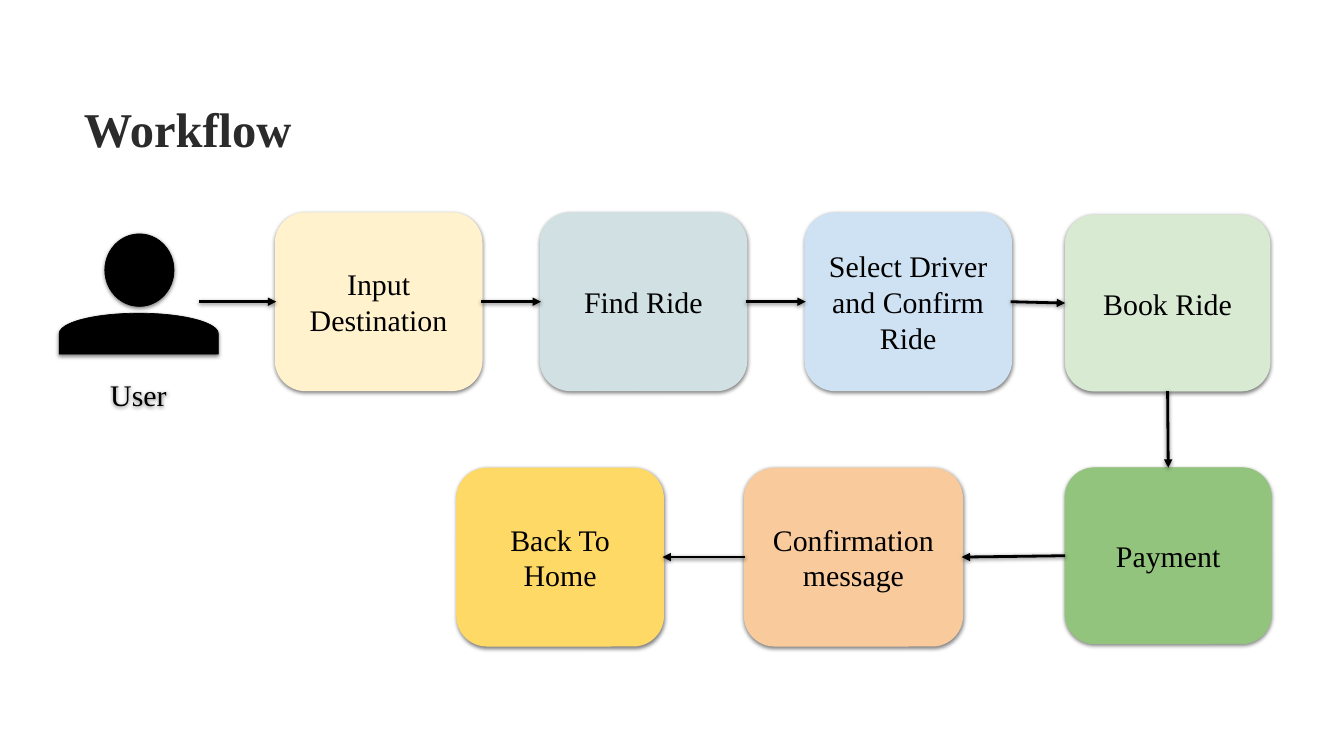
from lxml import etree
from pptx import Presentation
from pptx.dml.color import RGBColor
from pptx.enum.shapes import MSO_CONNECTOR, MSO_SHAPE
from pptx.enum.text import MSO_ANCHOR, MSO_AUTO_SIZE, PP_ALIGN
from pptx.oxml import parse_xml
from pptx.oxml.ns import nsdecls, qn
from pptx.util import Pt

PX = 9144  # 100 px to the inch
COLORS = {
    "ink": "000000", "title": "2B2B2B", "cream": "FFF2CC", "teal": "D0E0E3",
    "blue": "CFE2F3", "mint": "D9EAD3", "green": "93C47D", "peach": "F9CB9C",
    "yellow": "FFD966",
}
SHADOW = (
    f'<a:effectLst {nsdecls("a")}><a:outerShdw blurRad="57150" dist="19050" '
    'dir="5400000" algn="bl" rotWithShape="0"><a:srgbClr val="000000">'
    '<a:alpha val="50000"/></a:srgbClr></a:outerShdw></a:effectLst>'
)
TOP, LEFT, BOTTOM, RIGHT = range(4)


def write(sp, text, size=32, color="ink", bold=False, align=PP_ALIGN.CENTER,
          anchor=MSO_ANCHOR.MIDDLE, inset=10, spacing=None):
    tf = sp.text_frame
    tf.word_wrap = True
    tf.vertical_anchor = anchor
    tf.margin_left = tf.margin_right = tf.margin_top = tf.margin_bottom = inset * PX
    tf.text = text
    for p in tf.paragraphs:
        p.alignment = align
        p.line_spacing = spacing
        p.font.name = "Times New Roman"
        p.font.size = Pt(size)
        p.font.bold = bold
        p.font.color.rgb = RGBColor.from_string(COLORS[color])


def paint(sp, color, width):
    rgb = RGBColor.from_string(COLORS[color])
    sp.fill.solid()
    sp.fill.fore_color.rgb = rgb
    sp.line.color.rgb = rgb
    sp.line.width = Pt(width)
    sp._element.spPr.append(parse_xml(SHADOW))


prs = Presentation()
prs.slide_width, prs.slide_height = 2000 * PX, 1125 * PX
s = prs.slides.add_slide(prs.slide_layouts[6])

# Title
title = s.shapes.add_textbox(125 * PX, 112 * PX, 1204 * PX, 88 * PX)
write(title, "Workflow", size=52, color="title", bold=True, align=PP_ALIGN.LEFT,
      anchor=MSO_ANCHOR.TOP, inset=0, spacing=1.4)
title.text_frame.auto_size = MSO_AUTO_SIZE.SHAPE_TO_FIT_TEXT

# User figure: head, shoulders, label
head = s.shapes.add_shape(MSO_SHAPE.FLOWCHART_CONNECTOR,
                          156 * PX, 348 * PX, 103 * PX, 108 * PX)
shoulders = s.shapes.add_shape(MSO_SHAPE.FLOWCHART_DELAY,
                               176 * PX, 378 * PX, 61 * PX, 237 * PX)
shoulders.rotation = 270
for sp in (head, shoulders):
    paint(sp, "ink", 0.75)
label = s.shapes.add_textbox(107 * PX, 550 * PX, 198 * PX, 94 * PX)
write(label, "User", anchor=MSO_ANCHOR.TOP)
label._element.spPr.append(parse_xml(SHADOW))

# Steps, in order: text, left, top, width, colour, outline width
steps = [
    ("Input Destination", 411, 318, 305, "cream", 3),
    ("Find Ride", 805, 318, 305, "teal", 3),
    ("Select Driver\nand Confirm Ride", 1199, 318, 305, "blue", 3),
    ("Book Ride", 1585, 320, 305, "mint", 0.75),
    ("Payment", 1585, 696, 307, "green", 0.75),
    ("Confirmation message", 1109, 698, 322, "peach", 3),
    ("Back To Home", 681, 698, 305, "yellow", 3),
]
boxes = []
for text, x, y, w, color, width in steps:
    sp = s.shapes.add_shape(MSO_SHAPE.ROUNDED_RECTANGLE,
                            x * PX, y * PX, w * PX, 262 * PX)
    paint(sp, color, width)
    write(sp, text)
    boxes.append(sp)

# Arrows: from the user to the first step, then from each step to the next
sides = [(RIGHT, LEFT)] * 4 + [(BOTTOM, TOP)] + [(LEFT, RIGHT)] * 2
for start, end, (out_side, in_side) in zip([None] + boxes, boxes, sides):
    line = s.shapes.add_connector(MSO_CONNECTOR.STRAIGHT,
                                  296 * PX, 449 * PX, 411 * PX, 449 * PX)
    if start is not None:
        line.begin_connect(start, out_side)
    line.end_connect(end, in_side)
    line.line.color.rgb = RGBColor.from_string(COLORS["ink"])
    line.line.width = Pt(3)
    etree.SubElement(line.line._get_or_add_ln(), qn("a:tailEnd"), type="triangle")
    line._element.spPr.append(parse_xml(SHADOW))

prs.save("out.pptx")
